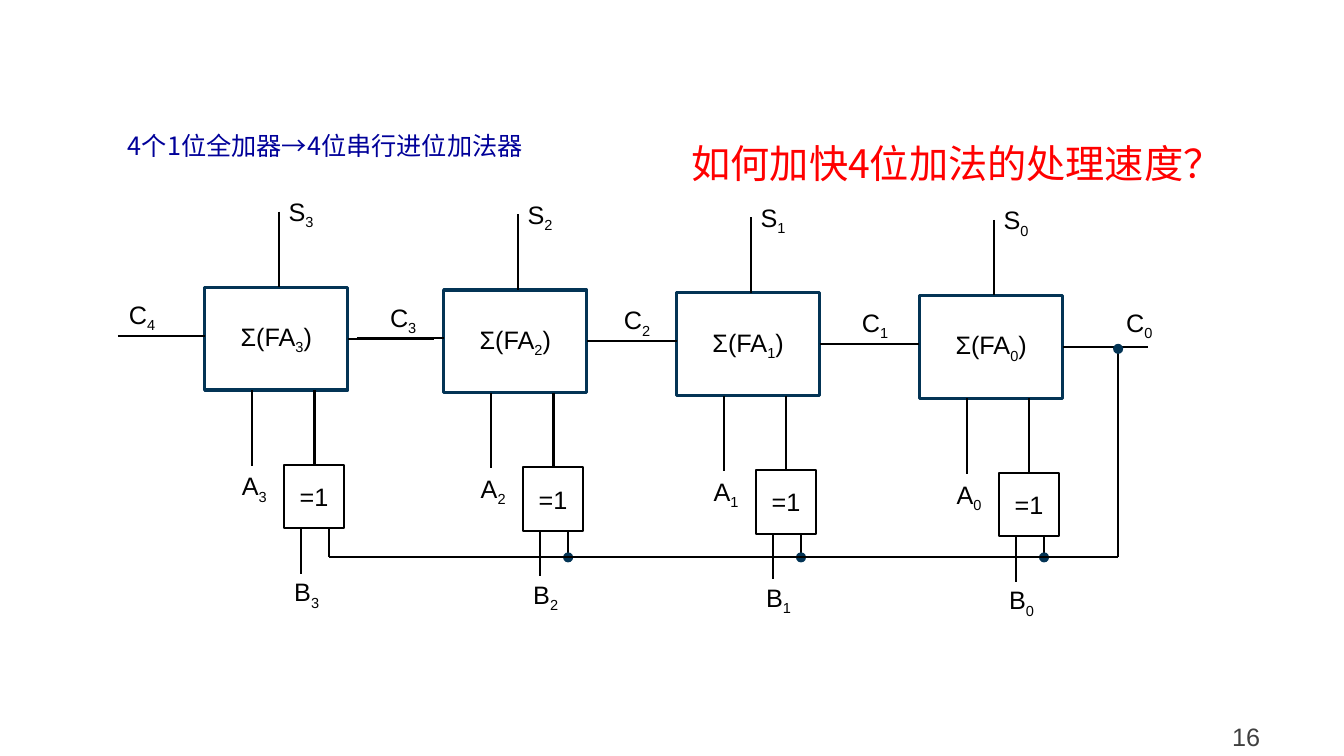
from dataclasses import dataclass
from lxml.etree import SubElement
from pptx import Presentation
from pptx.dml.color import RGBColor
from pptx.enum.shapes import MSO_CONNECTOR, MSO_SHAPE
from pptx.enum.text import MSO_ANCHOR, MSO_AUTO_SIZE, PP_ALIGN
from pptx.oxml.ns import qn
from pptx.util import Inches, Pt


@dataclass(frozen=True)
class Theme:
    ink: str = "000000"
    navy: str = "033455"
    blue: str = "000099"
    red: str = "FF0000"
    gray: str = "404040"
    white: str = "FFFFFF"
    latin: str = "Arial"
    han: str = "Noto Sans CJK SC"
    body: int = 18
    head: int = 28
    thin: float = 1.5
    thick: float = 2.25


THEME = Theme()
# One grid step is a tenth of an inch.
ADDER = (14.2, 10.2)
GATE = (5.9, 6.3)
BUS = 55.3
FEED = 110.9
# Bit, left edge, offset of the carry label
CELLS = [(3, 20.3, -8.5), (2, 44, -6.3), (1, 67.1, -6.2), (0, 91.2, -6.7)]


def grid(*steps):
    return [Inches(step / 10) for step in steps]


def color(name):
    return RGBColor.from_string(name)


def write(shape, *parts, tint=THEME.ink, face=THEME.latin, size=THEME.body,
          align=PP_ALIGN.LEFT):
    """Fill one paragraph; every second part is a subscript."""
    para = shape.text_frame.paragraphs[0]
    for spot, part in enumerate(parts):
        run = para.add_run()
        run.text = part
        if spot % 2:
            run._r.get_or_add_rPr().set("baseline", "-25000")
    para.alignment = align
    font = para.font
    font.name, font.size, font.bold = face, Pt(size), False
    font.color.rgb = color(tint)
    SubElement(para._p.pPr.find(qn("a:defRPr")), qn("a:ea"), typeface=face)
    return para


def label(slide, box, *parts, wrap=False, **style):
    text = slide.shapes.add_textbox(*grid(*box))
    text.text_frame.word_wrap = wrap
    text.text_frame.auto_size = MSO_AUTO_SIZE.SHAPE_TO_FIT_TEXT
    return write(text, *parts, **style)


def mark(slide, letter, bit, left, top):
    label(slide, (left, top, 4.6, 4.1), letter, str(bit))


def wire(slide, x1, y1, x2, y2):
    line = slide.shapes.add_connector(MSO_CONNECTOR.STRAIGHT, *grid(x1, y1, x2, y2))
    line.line.color.rgb = color(THEME.ink)
    line.line.width = Pt(THEME.thin)
    SubElement(line._element.spPr, qn("a:effectLst"))
    return line


def block(slide, box, tint, width, *parts, pad=0.1):
    shape = slide.shapes.add_shape(MSO_SHAPE.RECTANGLE, *grid(*box))
    shape.shadow.inherit = False
    shape.fill.solid()
    shape.fill.fore_color.rgb = color(THEME.white)
    shape.line.color.rgb = color(tint)
    shape.line.width = Pt(width)
    frame = shape.text_frame
    frame.margin_left = frame.margin_right = Inches(pad)
    frame.vertical_anchor = MSO_ANCHOR.MIDDLE
    write(shape, *parts, align=PP_ALIGN.CENTER)
    return shape


def dot(slide, x, y):
    shape = slide.shapes.add_shape(MSO_SHAPE.OVAL, *grid(x - 0.5, y - 0.5, 1, 1))
    shape.shadow.inherit = False
    shape.fill.solid()
    shape.fill.fore_color.rgb = color(THEME.navy)
    shape.line.fill.background()


def adder(slide, bit, left, top, shift):
    """Draw a full adder with its sum, carry and operand wires."""
    wide, high = ADDER
    base, mid = top + high, top + high / 2
    full = block(slide, (left, top, wide, high), THEME.navy, THEME.thick,
                 "Σ(FA", str(bit), ")")
    wire(slide, left + 7.35, top - 7.5, left + 7.35, top)
    wire(slide, left - 8.6, top + 4.8, left, top + 4.8)
    wire(slide, left + wide, mid, left + wide + 8.5, mid).begin_connect(full, 3)
    for x in (4.7, 10.9):
        wire(slide, left + x, base, left + x, base + 7.5)
    mark(slide, "S", bit, left + 7.35, top - 9.5)
    mark(slide, "C", bit + 1, left + shift, top + 0.7)
    mark(slide, "A", bit, left + 2.7, base + 7.5)
    mark(slide, "B", bit, left + 7.9, base + 18)


def gate(slide, bit, left, top):
    """Draw an XOR gate with its operand wire and its tap on the bus."""
    base, tap = top + GATE[1], left + 4.45
    block(slide, (left, top, *GATE), THEME.ink, THEME.thin, "=1", pad=0)
    wire(slide, left + 1.7, base, left + 1.7, base + 4.5)
    wire(slide, tap, base, tap, BUS)
    if bit < 3:
        dot(slide, tap, BUS)
    return tap


def circuit(slide, top):
    taps = []
    for row, (bit, left, shift) in enumerate(CELLS):
        high = top + 0.27 * row
        adder(slide, bit, left, high, shift)
        taps.append(gate(slide, bit, left + 7.9, high + 17.6))
    mark(slide, "C", 0, 110.7, high + 0.7)
    wire(slide, FEED, high + 5.1, FEED, BUS)
    wire(slide, FEED, BUS, taps[0], BUS)
    dot(slide, FEED, high + 5.3)


def heading(slide):
    title = slide.shapes.title
    title.left, title.top, title.width, title.height = grid(67.6, 13.3, 56, 5.7)
    title.text_frame.vertical_anchor = MSO_ANCHOR.TOP
    title.text_frame.auto_size = MSO_AUTO_SIZE.NONE
    write(title, "如何加快4位加法的处理速度？", tint=THEME.red, face=THEME.han,
          size=THEME.head)
    label(slide, (11.7, 12.4, 41.7, 4), "4个1位全加器→4位串行进位加法器",
          wrap=True, tint=THEME.blue, face=THEME.han)


def footer(slide):
    page = label(slide, (114.8, 70.5, 17.6, 4.3), "16", wrap=True,
                 tint=THEME.gray, align=PP_ALIGN.CENTER)
    page.line_spacing = 1.2


def main():
    deck = Presentation()
    deck.slide_width, deck.slide_height = Inches(13.33), Inches(7.5)
    slide = deck.slides.add_slide(deck.slide_layouts[5])
    heading(slide)
    circuit(slide, 28.5)
    footer(slide)
    deck.save("out.pptx")


if __name__ == "__main__":
    main()
